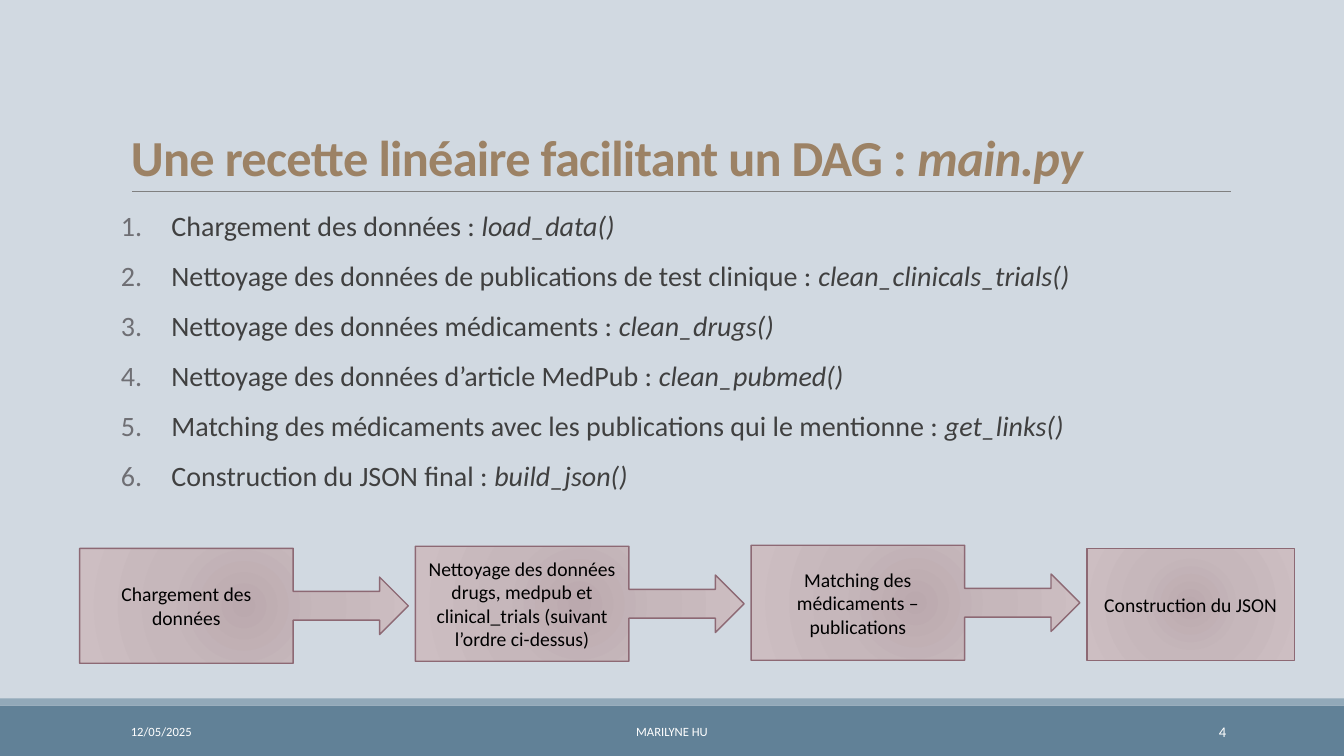
from lxml.etree import SubElement
from pptx import Presentation
from pptx.dml.color import RGBColor
from pptx.enum.shapes import MSO_CONNECTOR as Connector, MSO_SHAPE as Shape
from pptx.enum.text import MSO_ANCHOR as Anchor, PP_ALIGN as Align
from pptx.oxml.ns import qn
from pptx.util import Inches, Pt

FONT = "Calibri"
WHITE, BLACK = "FFFFFF", "000000"
GRADIENT_STOPS = [(0, "BBA9AE"), (45, "C6B7BB"), (100, "CDBEC2")]

RECIPE = [
    ("Chargement des données : ", "load_data()"),
    ("Nettoyage des données de publications de test clinique : ", "clean_clinicals_trials()"),
    ("Nettoyage des données médicaments : ", "clean_drugs()"),
    ("Nettoyage des données d’article MedPub : ", "clean_pubmed()"),
    ("Matching des médicaments avec les publications qui le mentionne : ", "get_links()"),
    ("Construction du JSON final : ", "build_json()"),
]
# Text, top, width, height, preset shape
FLOW = [
    ("Chargement des données", 5.44, 3.26, 1.14, Shape.RIGHT_ARROW_CALLOUT),
    ("Nettoyage des données drugs, medpub et clinical_trials (suivant l’ordre ci-dessus)",
     5.42, 3.26, 1.14, Shape.RIGHT_ARROW_CALLOUT),
    ("Matching des médicaments – publications", 5.41, 3.26, 1.14, Shape.RIGHT_ARROW_CALLOUT),
    ("Construction du JSON", 5.44, 2.06, 1.11, Shape.RECTANGLE),
]
FLOW_LEFT, FLOW_STEP = 0.79, 3.33
# Text, left, width, alignment, size
FOOTER = [
    ("12/05/2025", 1.2, 2.7, Align.LEFT, 9),
    ("MARILYNE HU", 4.03, 5.27, Align.CENTER, 9),
    ("4", 10.83, 1.43, Align.RIGHT, 10.5),
]


def rgb(value):
    return RGBColor.from_string(value)


def add_run(paragraph, text, size, color, bold=False, italic=False):
    run = paragraph.add_run()
    run.text = text
    font = run.font
    font.name, font.size = FONT, Pt(size)
    font.bold, font.italic = bold, italic
    font.color.rgb = rgb(color)
    return run


def add_text_frame(slide, left, top, width, height, anchor):
    box = slide.shapes.add_textbox(Inches(left), Inches(top), Inches(width), Inches(height))
    frame = box.text_frame
    frame.word_wrap = True
    frame.vertical_anchor = anchor
    return frame


def add_band(slide, top, height, color):
    band = slide.shapes.add_shape(
        Shape.RECTANGLE, 0, Inches(top), Inches(13.33), Inches(height))
    band.shadow.inherit = False
    band.fill.solid()
    band.fill.fore_color.rgb = rgb(color)
    band.line.fill.background()


def add_rule(slide, left, right, top):
    rule = slide.shapes.add_connector(
        Connector.STRAIGHT, Inches(left), Inches(top), Inches(right), Inches(top))
    rule.line.color.rgb = rgb("808080")
    rule.line.width = Pt(0.5)
    SubElement(rule._element.spPr, qn("a:effectLst"))


def add_title(slide, text, file_name):
    frame = add_text_frame(slide, 1.2, 0.68, 11, 1.22, Anchor.BOTTOM)
    paragraph = frame.paragraphs[0]
    paragraph.line_spacing = 0.85
    for part, italic in ((text, False), (file_name, True)):
        run = add_run(paragraph, part, 36, "9C8265", bold=True, italic=italic)
        run.font._element.set("spc", "-50")


def number_paragraph(paragraph, color):
    properties = paragraph._p.get_or_add_pPr()
    properties.set("marL", str(Inches(0.5)))
    properties.set("indent", str(-Inches(0.5)))
    bullet_color = SubElement(properties, qn("a:buClr"))
    SubElement(bullet_color, qn("a:srgbClr"), val=color)
    SubElement(properties, qn("a:buFont"), typeface="+mj-lt")
    SubElement(properties, qn("a:buAutoNum"), type="arabicPeriod")


def add_recipe(slide):
    frame = add_text_frame(slide, 1.2, 2.06, 10.31, 3.11, Anchor.TOP)
    frame.margin_left = frame.margin_right = 0
    for index, (description, function_name) in enumerate(RECIPE):
        paragraph = frame.add_paragraph() if index else frame.paragraphs[0]
        paragraph.line_spacing = 0.9
        paragraph.space_before, paragraph.space_after = Pt(12), Pt(2)
        number_paragraph(paragraph, "6F6F74")
        add_run(paragraph, description, 20, "404040")
        add_run(paragraph, function_name, 20, "404040", italic=True)


def fill_radial(shape):
    shape.fill.gradient()
    gradient = shape._element.spPr.find(qn("a:gradFill"))
    for child in list(gradient):
        gradient.remove(child)
    stops = SubElement(gradient, qn("a:gsLst"))
    for position, color in GRADIENT_STOPS:
        stop = SubElement(stops, qn("a:gs"), pos=str(position * 1000))
        SubElement(stop, qn("a:srgbClr"), val=color)
    circle = SubElement(gradient, qn("a:path"), path="circle")
    SubElement(circle, qn("a:fillToRect"), {side: "100000" for side in "ltrb"})


def add_flow_step(slide, left, text, top, width, height, preset):
    shape = slide.shapes.add_shape(
        preset, Inches(left), Inches(top), Inches(width), Inches(height))
    shape.shadow.inherit = False
    fill_radial(shape)
    shape.line.color.rgb = rgb("8D6974")
    shape.line.width = Pt(1)
    frame = shape.text_frame
    frame.word_wrap = True
    frame.vertical_anchor = Anchor.MIDDLE
    paragraph = frame.paragraphs[0]
    paragraph.alignment = Align.CENTER
    add_run(paragraph, text, 14, BLACK)


def add_footer_text(slide, text, left, width, alignment, size):
    frame = add_text_frame(slide, left, 7.06, width, 0.4, Anchor.MIDDLE)
    paragraph = frame.paragraphs[0]
    paragraph.alignment = alignment
    add_run(paragraph, text, size, WHITE)


def main():
    presentation = Presentation()
    presentation.slide_width, presentation.slide_height = Inches(13.33), Inches(7.5)
    slide = presentation.slides.add_slide(presentation.slide_layouts[6])
    slide.background.fill.solid()
    slide.background.fill.fore_color.rgb = rgb("D1D9E1")

    # Footer bands and title rule
    add_band(slide, 7, 0.5, "618197")
    add_band(slide, 6.93, 0.07, "92A9B9")
    add_rule(slide, 1.31, 12.21, 1.9)

    # Title and numbered steps
    add_title(slide, "Une recette linéaire facilitant un DAG : ", "main.py")
    add_recipe(slide)

    # Footer texts
    for entry in FOOTER:
        add_footer_text(slide, *entry)

    # Process flow
    for index, step in enumerate(FLOW):
        add_flow_step(slide, FLOW_LEFT + index * FLOW_STEP, *step)

    presentation.save("out.pptx")


if __name__ == "__main__":
    main()
